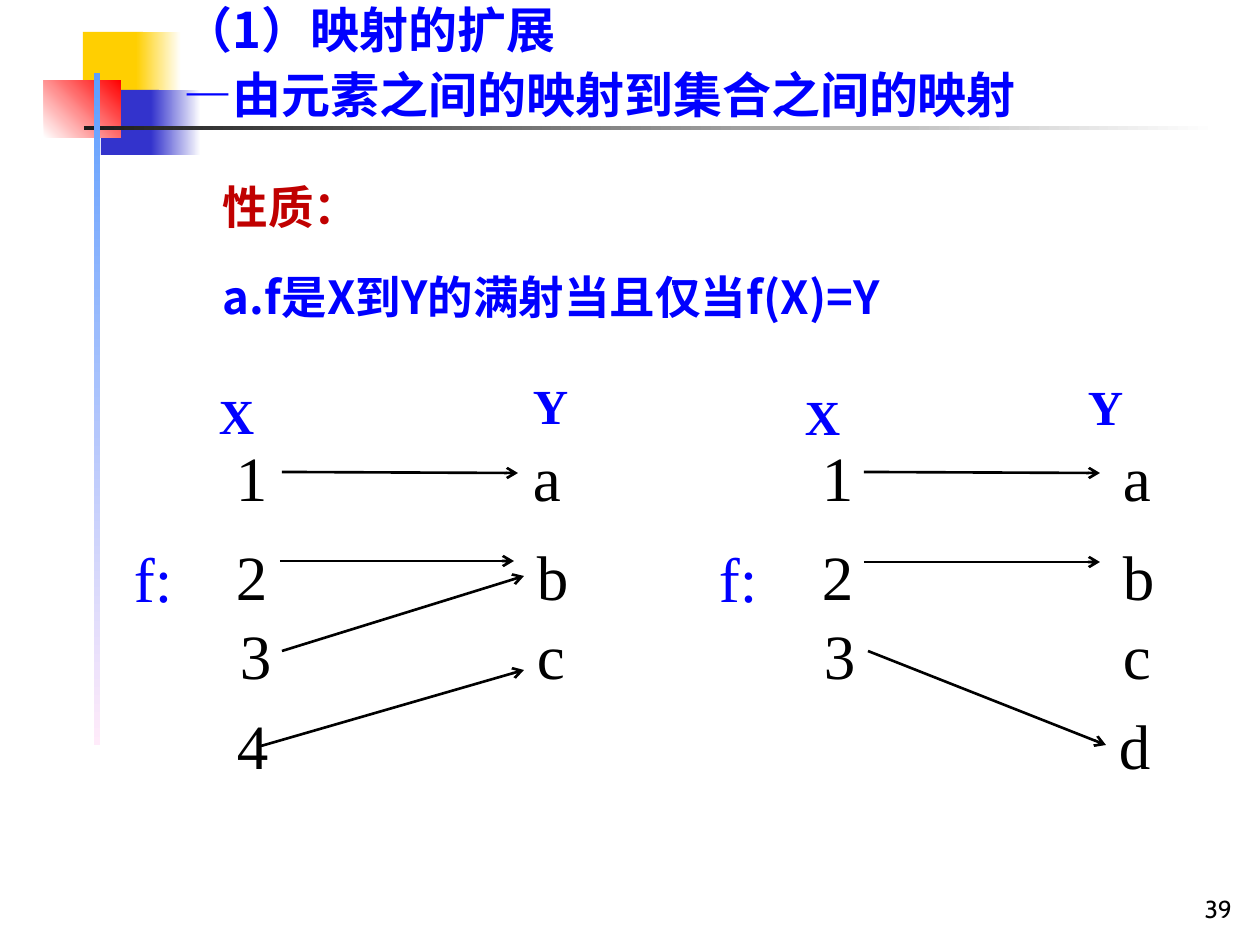
import pptx
import pptx.dml.color
import pptx.enum.shapes
import pptx.enum.text
import pptx.oxml.ns
import pptx.util
from lxml import etree

SCALE = 914400 / 126
ALIGN = pptx.enum.text.PP_ALIGN
ANCHOR = pptx.enum.text.MSO_ANCHOR

THEME = {
    "blue": "0000FF", "red": "C00000", "black": "000000",
    "sans": "Noto Sans CJK SC", "serif": "Times New Roman", "number": "Cabin",
    "title": 28, "body": 26, "label": 28, "element": 36, "page": 14,
    "arrow": 1.5, "leading": 0.9,
}

DECORATIONS = [
    ((83, 32, 60, 65), ["FFCF01"], 0),
    ((136, 32, 45, 65), ["FFCF01", "FFFFFF"], 0),
    ((101, 90, 58, 65), ["3333CC"], 0),
    ((151, 90, 50, 65), ["3333CC", "FFFFFF"], 0),
    ((44, 80, 77, 58), ["FFFFFF", "FF0000"], 45),
    ((84, 126, 1134, 4), ["1C1C1C", "FFFFFF"], 0),
    ((94, 73, 6, 672), ["5E9EFF", "FFEBFA"], 270),
]

TITLE = ["（1）映射的扩展", "—由元素之间的映射到集合之间的映射"]
STATEMENTS = [
    ("性质：", (223, 185, 149, 49), "red"),
    ("a.f是X到Y的满射当且仅当f(X)=Y", (223, 275, 853, 49), "blue"),
]

ROW_TOPS = [433, 532, 611, 701]
DIAGRAMS = [
    {
        "name": ("f:", 134, 548),
        "sets": [("X", 219, 392), ("Y", 533, 382)],
        "domain": [("1", 223), ("2", 223), ("3", 227), ("4", 224)],
        "codomain": [("a", 520), ("b", 524), ("c", 524)],
        "arrows": [(282, 472, 518, 473), (280, 561, 514, 561),
                   (282, 651, 524, 576), (261, 746, 524, 670)],
    },
    {
        "name": ("f:", 719, 548),
        "sets": [("X", 805, 393), ("Y", 1088, 383)],
        "domain": [("1", 809), ("2", 809), ("3", 811)],
        "codomain": [("a", 1110), ("b", 1110), ("c", 1110), ("d", 1106)],
        "arrows": [(864, 472, 1100, 473), (864, 562, 1100, 562),
                   (868, 651, 1106, 745)],
    },
]


def px(value):
    return pptx.util.Emu(round(value * SCALE))


def color(code):
    return pptx.dml.color.RGBColor.from_string(code)


def add_decoration(slide, box, colors, angle):
    shape = slide.shapes.add_shape(
        pptx.enum.shapes.MSO_SHAPE.RECTANGLE, *map(px, box))
    shape.shadow.inherit = False
    shape.line.fill.background()
    if len(colors) == 1:
        shape.fill.solid()
        shape.fill.fore_color.rgb = color(colors[0])
        return
    shape.fill.gradient()
    shape.fill.gradient_angle = angle
    for stop, code in zip(shape.fill.gradient_stops, colors):
        stop.color.rgb = color(code)


def add_text(slide, lines, box, size, ink, font, bold=False, align=ALIGN.LEFT,
             leading=None, insets=(0, 0), anchor=ANCHOR.TOP):
    frame = slide.shapes.add_textbox(*map(px, box)).text_frame
    frame.word_wrap = True
    frame.vertical_anchor = anchor
    frame.margin_left = frame.margin_right = px(insets[0])
    frame.margin_top = frame.margin_bottom = px(insets[1])
    frame.text = "\n".join(lines)
    for index, paragraph in enumerate(frame.paragraphs):
        paragraph.alignment = align
        paragraph.line_spacing = leading
        if index:
            paragraph.space_before = pptx.util.Pt(THEME[size] / 4)
        paragraph.font.size = pptx.util.Pt(THEME[size])
        paragraph.font.name = THEME[font]
        paragraph.font.bold = bold
        paragraph.font.color.rgb = color(THEME[ink])
        for run in paragraph.runs:
            east_asian = etree.SubElement(
                run._r.get_or_add_rPr(), pptx.oxml.ns.qn("a:ea"))
            east_asian.set("typeface", THEME[font])


def add_arrow(slide, ends):
    connector = slide.shapes.add_connector(
        pptx.enum.shapes.MSO_CONNECTOR.STRAIGHT, *map(px, ends))
    connector.line.color.rgb = color(THEME["black"])
    connector.line.width = pptx.util.Pt(THEME["arrow"])
    tail = etree.SubElement(
        connector.line._get_or_add_ln(), pptx.oxml.ns.qn("a:tailEnd"))
    tail.set("type", "arrow")
    etree.SubElement(
        connector._element.spPr, pptx.oxml.ns.qn("a:effectLst"))


def add_diagram(slide, diagram):
    leading = THEME["leading"]
    for text, left, top in diagram["sets"]:
        add_text(slide, [text], (left, top, 53, 53), "label", "blue", "serif",
                 bold=True, leading=leading)
    text, left, top = diagram["name"]
    add_text(slide, [text], (left, top, 53, 68), "element", "blue", "serif",
             leading=leading)
    for column in (diagram["domain"], diagram["codomain"]):
        for (text, left), top in zip(column, ROW_TOPS):
            add_text(slide, [text], (left, top, 37, 88), "element", "black",
                     "serif", align=ALIGN.CENTER, insets=(13, 6))
    for ends in diagram["arrows"]:
        add_arrow(slide, ends)


def main():
    presentation = pptx.Presentation()
    presentation.slide_width, presentation.slide_height = px(1260), px(945)
    slide = presentation.slides.add_slide(presentation.slide_layouts[6])
    for decoration in DECORATIONS:
        add_decoration(slide, *decoration)
    add_text(slide, ["39"], (983, 866, 262, 63), "page", "black", "number",
             align=ALIGN.RIGHT, insets=(13, 6), anchor=ANCHOR.BOTTOM)
    add_text(slide, TITLE, (184, 6, 991, 118), "title", "blue", "sans",
             bold=True, leading=THEME["leading"])
    for text, box, ink in STATEMENTS:
        add_text(slide, [text], box, "body", ink, "sans", bold=True,
                 leading=THEME["leading"])
    for diagram in DIAGRAMS:
        add_diagram(slide, diagram)
    presentation.save("out.pptx")


if __name__ == "__main__":
    main()
